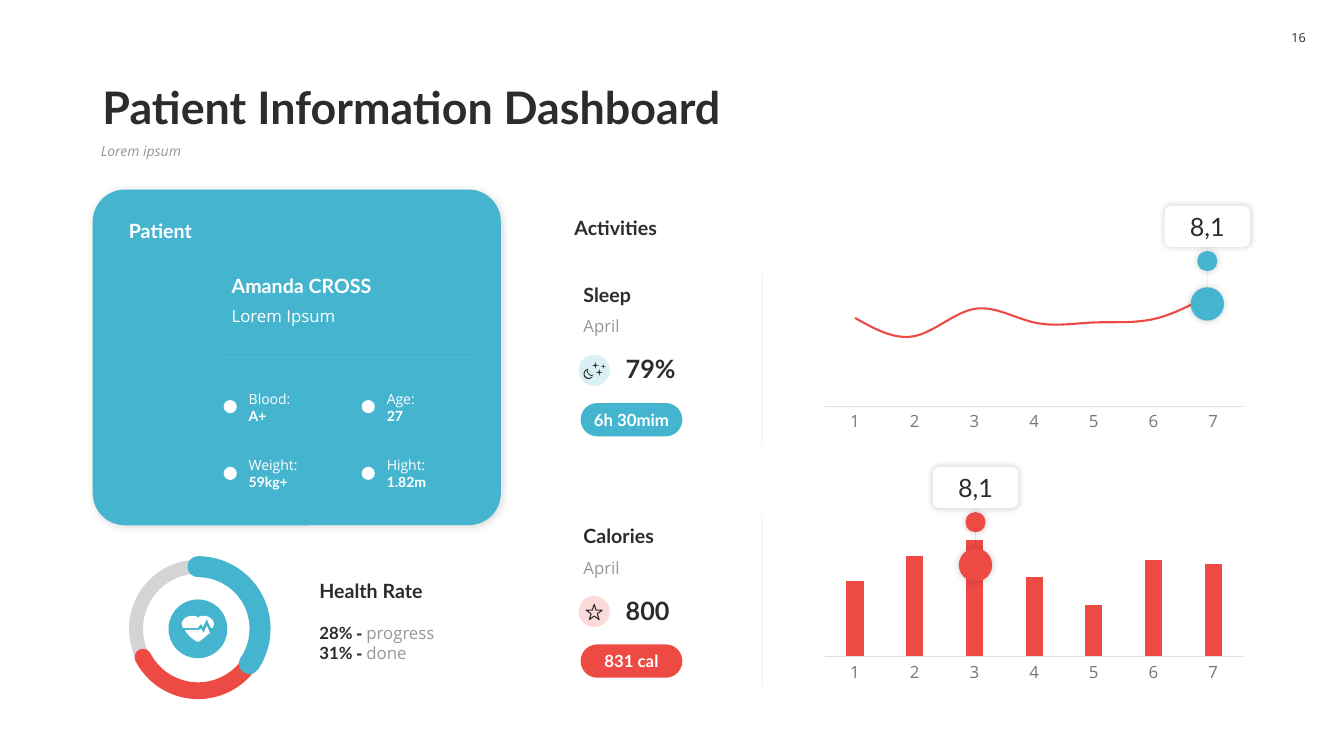
from dataclasses import dataclass

import pptx
import pptx.chart.data
import pptx.dml.color
import pptx.enum.chart
import pptx.enum.shapes
import pptx.enum.text
import pptx.oxml
import pptx.oxml.ns
import pptx.util

Pt = pptx.util.Pt
qn = pptx.oxml.ns.qn
RGBColor = pptx.dml.color.RGBColor
ShapeKind = pptx.enum.shapes.MSO_SHAPE
Anchor = pptx.enum.text.MSO_ANCHOR
Align = pptx.enum.text.PP_ALIGN
ChartKind = pptx.enum.chart.XL_CHART_TYPE

BLUE = RGBColor(0x45, 0xB5, 0xCF)
RED = RGBColor(0xED, 0x4A, 0x43)
DARK = RGBColor(0x2C, 0x2C, 0x2C)
GREY = RGBColor(0x96, 0x96, 0x96)
AXIS_TEXT = RGBColor(0x76, 0x76, 0x76)
AXIS_LINE = RGBColor(0xDF, 0xDF, 0xDF)
WHITE = RGBColor(0xFF, 0xFF, 0xFF)
HEADING_FONT, BODY_FONT = "Lato", "Open Sans"
GLYPH_UNIT = 0.72  # points per unit of a glyph outline


@dataclass
class Fact:
    column: int
    row: int
    label: str
    value: str


@dataclass
class Activity:
    top: float
    name: str
    value: str
    total: str
    colour: RGBColor


@dataclass
class Trend:
    kind: ChartKind
    top: float
    values: tuple
    minimum: float
    plot_top: float
    plot_height: float
    marker_centre: float
    marker_top: float
    colour: RGBColor


FACTS = [Fact(0, 0, "Blood:", "A+"), Fact(1, 0, "Age:", "27"),
         Fact(0, 1, "Weight:", "59kg+"), Fact(1, 1, "Hight:", "1.82m")]
ACTIVITIES = [Activity(198, "Sleep", "79%", "6h 30mim", BLUE),
              Activity(370.4, "Calories", "800", "831 cal", RED)]
TRENDS = [
    Trend(ChartKind.LINE, 198, (78, 62, 86, 74, 74, 77, 100), 0, 0.1, 0.71, 862.4, 146.9, BLUE),
    Trend(ChartKind.COLUMN_CLUSTERED, 376.6, (90, 96, 100, 91, 84, 95, 94), 71.5, 0.08, 0.73,
          696.8, 333.4, RED),
]
# Outlines: a pair is a straight step, six numbers are a Bézier step.
HEART = [
    [(25, 10), (28, 17), (25, 19, 22, 23, 16, 26), (8, 22, 5, 17, 3, 14), (17, 14), (19, 13),
     (22, 17), (23, 14)],
    [(10, 0), (12, 0, 15, 0, 16, 2), (18, 0, 20, 0, 22, 0), (27, 0, 32, 4, 32, 8),
     (32, 10, 31, 10, 31, 12), (29, 12), (26, 6), (25, 3), (21, 11), (19, 8), (16, 12), (1, 12),
     (1, 10, 0, 9, 0, 8), (0, 4, 5, 0, 10, 0)],
]
MOON = [
    [(4, 2), (4, 1, 4, 1, 5, 0), (4, 0), (1, 1, 0, 3, 0, 5), (0, 8, 2, 10, 5, 10),
     (7, 10, 9, 9, 9, 6), (10, 5), (9, 6, 9, 6, 8, 6), (6, 6, 4, 4, 4, 2)],
    [(5, 9), (3, 9, 1, 7, 1, 5), (1, 3, 2, 2, 3, 1), (3, 2), (3, 4, 6, 7, 8, 7), (9, 7),
     (8, 8, 7, 9, 5, 9)],
]
SPARKLES = [(429.1, 259.9, 3.6), (422.8, 258.5, 5), (425.6, 263.5, 5)]


def write(frame, text: str, *, size: float, colour: RGBColor = DARK, font: str = HEADING_FONT,
          bold: bool = False, italic: bool = False, align: Align = Align.LEFT) -> None:
    """Append a run to the last paragraph of the frame."""
    paragraph = frame.paragraphs[-1]
    paragraph.alignment = align
    run = paragraph.add_run()
    run.text = text
    run.font.size, run.font.name = Pt(size), font
    run.font.bold, run.font.italic = bold, italic
    run.font.color.rgb = colour


def add_text_box(slide, left: float, top: float, width: float, height: float,
                 anchor: Anchor = Anchor.TOP):
    frame = slide.shapes.add_textbox(Pt(left), Pt(top), Pt(width), Pt(height)).text_frame
    frame.word_wrap = True
    frame.vertical_anchor = anchor
    return frame


def add_heading(slide, text: str, left: float, top: float, width: float,
                colour: RGBColor = DARK) -> None:
    frame = add_text_box(slide, left, top, width, 24.5, Anchor.BOTTOM)
    write(frame, text, size=14, colour=colour, bold=True)


def set_opacity(shape, percent: int) -> None:
    for colour in shape._element.spPr.iter(qn("a:srgbClr")):
        pptx.oxml.parse_xml(f'<a:alpha {pptx.oxml.ns.nsdecls("a")} val="{percent * 1000}"/>')
        colour.append(colour.makeelement(qn("a:alpha"), {"val": str(percent * 1000)}))


def style(shape, fill: RGBColor | None, line: RGBColor | None = None, weight: float = 0) -> None:
    shape.shadow.inherit = False
    if fill is None:
        shape.fill.background()
    else:
        shape.fill.solid()
        shape.fill.fore_color.rgb = fill
    if line is None:
        shape.line.fill.background()
    else:
        shape.line.color.rgb = line
        shape.line.width = Pt(weight)


def add_figure(slide, kind: ShapeKind, left: float, top: float, width: float, height: float,
               fill: RGBColor | None, *, line: RGBColor | None = None, weight: float = 0,
               adjustments: tuple = (), opacity: int = 100):
    shape = slide.shapes.add_shape(kind, Pt(left), Pt(top), Pt(width), Pt(height))
    for index, adjustment in enumerate(adjustments):
        shape.adjustments[index] = adjustment
    style(shape, fill, line, weight)
    if opacity < 100:
        set_opacity(shape, opacity)
    shape.text_frame.vertical_anchor = Anchor.MIDDLE
    return shape


def add_shadow(shape, opacity: int = 20, blur: float = 5, distance: float = 0) -> None:
    shape._element.spPr.find(qn("a:effectLst")).append(pptx.oxml.parse_xml(
        f'<a:outerShdw {pptx.oxml.ns.nsdecls("a")} blurRad="{Pt(blur)}" dist="{Pt(distance)}" '
        f'dir="2700000" algn="tl" rotWithShape="0"><a:srgbClr val="000000">'
        f'<a:alpha val="{opacity * 1000}"/></a:srgbClr></a:outerShdw>'))


def add_rule(slide, x1: float, y1: float, x2: float, y2: float, colour: RGBColor) -> None:
    rule = slide.shapes.add_connector(pptx.enum.shapes.MSO_CONNECTOR.STRAIGHT,
                                      Pt(x1), Pt(y1), Pt(x2), Pt(y2))
    rule.line.color.rgb = colour
    rule.line.width = Pt(0.5)
    set_opacity(rule, 10)
    properties = rule._element.spPr
    properties.append(properties.makeelement(qn("a:effectLst"), {}))


def flatten(contour: list) -> list:
    """Turn a contour with Bézier steps into EMU points."""
    points = [contour[0]]
    for step in contour[1:]:
        x0, y0 = points[-1]
        if len(step) == 2:
            points.append(step)
            continue
        x1, y1, x2, y2, x3, y3 = step
        for t in (i / 8 for i in range(1, 9)):
            a, b, c, d = (1 - t) ** 3, 3 * t * (1 - t) ** 2, 3 * t * t * (1 - t), t ** 3
            points.append((a * x0 + b * x1 + c * x2 + d * x3, a * y0 + b * y1 + c * y2 + d * y3))
    return [(Pt(x * GLYPH_UNIT), Pt(y * GLYPH_UNIT)) for x, y in points]


def add_glyph(slide, contours: list, left: float, top: float, colour: RGBColor) -> None:
    first, *others = map(flatten, contours)
    builder = slide.shapes.build_freeform(*first[0], scale=1.0)
    builder.add_line_segments(first[1:], close=True)
    for points in others:
        builder.move_to(*points[0])
        builder.add_line_segments(points[1:], close=True)
    style(builder.convert_to_shape(Pt(left), Pt(top)), colour)


def add_fact(slide, fact: Fact) -> None:
    left, top = 159.8 + 98.6 * fact.column, 275 + 47.6 * fact.row
    add_figure(slide, ShapeKind.OVAL, left, top + 10.8, 9.4, 9.4, WHITE)
    frame = add_text_box(slide, left + 10.8, top, 68.4, 31.7, Anchor.MIDDLE)
    write(frame, fact.label, size=10, colour=WHITE, font=BODY_FONT)
    frame.add_paragraph()
    write(frame, fact.value, size=10, colour=WHITE, bold=True)


def add_activity(slide, activity: Activity) -> None:
    top = activity.top
    add_heading(slide, activity.name, 409.7, top, 119.5)
    write(add_text_box(slide, 409.7, top + 24.3, 119.5, 21.6), "April",
          size=12, colour=GREY, font=BODY_FONT)
    add_figure(slide, ShapeKind.OVAL, 413.3, top + 55.3, 22.3, 22.3, activity.colour, opacity=20)
    write(add_text_box(slide, 439.9, top + 51, 89.3, 28.8, Anchor.BOTTOM), activity.value,
          size=18, bold=True)
    pill = add_figure(slide, ShapeKind.ROUNDED_RECTANGLE, 414.7, top + 89.9, 72.7, 23.8,
                      activity.colour, adjustments=(0.5,))
    frame = pill.text_frame
    frame.margin_left = frame.margin_right = frame.margin_top = frame.margin_bottom = Pt(0)
    write(frame, activity.total, size=12, colour=WHITE, bold=True, align=Align.CENTER)
    add_rule(slide, 544.3, top + 120.2, 544.3, top - 2.2, DARK)


def add_trend_chart(slide, trend: Trend) -> None:
    data = pptx.chart.data.CategoryChartData()
    data.categories = [str(day) for day in range(1, 8)]
    data.add_series("Series 1", trend.values)
    chart = slide.shapes.add_chart(trend.kind, Pt(583.2), Pt(trend.top), Pt(311), Pt(113.8),
                                   data).chart
    chart.has_legend = chart.has_title = False
    chart.font.size, chart.font.name, chart.font.color.rgb = Pt(12), BODY_FONT, DARK
    plot = chart.plots[0]
    plot.vary_by_categories = False
    series = plot.series[0]
    if trend.kind == ChartKind.LINE:
        series.smooth = True
        series.marker.style = pptx.enum.chart.XL_MARKER_STYLE.NONE
        series.format.line.color.rgb, series.format.line.width = RED, Pt(1.5)
    else:
        plot.gap_width = 250
        series.format.fill.solid()
        series.format.fill.fore_color.rgb = RED
    value_axis, category_axis = chart.value_axis, chart.category_axis
    value_axis.minimum_scale, value_axis.maximum_scale = trend.minimum, 100
    value_axis.has_major_gridlines = value_axis.visible = False
    category_axis.major_tick_mark = pptx.enum.chart.XL_TICK_MARK.NONE
    category_axis.format.line.color.rgb, category_axis.format.line.width = AXIS_LINE, Pt(0.75)
    font = category_axis.tick_labels.font
    font.size, font.name, font.color.rgb = Pt(12), BODY_FONT, AXIS_TEXT
    area = chart._chartSpace.find(".//" + qn("c:plotArea"))
    for layout in area.findall(qn("c:layout")):
        area.remove(layout)
    sizes = {"x": 0.02, "y": trend.plot_top, "w": 0.96, "h": trend.plot_height}
    area.insert(0, pptx.oxml.parse_xml(
        f'<c:layout {pptx.oxml.ns.nsdecls("c")}><c:manualLayout><c:layoutTarget val="inner"/>'
        '<c:xMode val="edge"/><c:yMode val="edge"/>'
        + "".join(f'<c:{name} val="{size}"/>' for name, size in sizes.items())
        + "</c:manualLayout></c:layout>"))


def add_marker(slide, trend: Trend) -> None:
    centre, top = trend.marker_centre, trend.marker_top
    for offset, diameter in ((58.3, 23.8), (32.4, 14.4)):
        add_shadow(add_figure(slide, ShapeKind.OVAL, centre - diameter / 2, top + offset,
                              diameter, diameter, trend.colour))
    add_rule(slide, centre, top + 46.8, centre, top + 58.3, DARK)
    card = add_figure(slide, ShapeKind.ROUNDED_RECTANGLE, centre - 30.6, top, 61.2, 29.5, WHITE)
    add_shadow(card)
    write(card.text_frame, "8,1", size=18, align=Align.CENTER)


def fill_placeholders(slide) -> None:
    title, subtitle = slide.shapes.title, slide.placeholders[1]
    for shape, top, height in ((title, 41.8, 57.6), (subtitle, 99.4, 25.9)):
        shape.left, shape.top, shape.width, shape.height = Pt(66), Pt(top), Pt(828), Pt(height)
        paragraph = shape.text_frame.paragraphs[0]
        paragraph.line_spacing, paragraph.space_before = 0.9, Pt(0)
    subtitle.left = Pt(64.8)
    title.text_frame.vertical_anchor = Anchor.BOTTOM
    write(title.text_frame, "Patient Information Dashboard", size=32, bold=True)
    properties = subtitle.text_frame.paragraphs[0]._p.get_or_add_pPr()
    properties.set("marL", "0")
    properties.set("indent", "0")
    properties.append(properties.makeelement(qn("a:buNone"), {}))
    write(subtitle.text_frame, "Lorem ipsum", size=10, colour=GREY, font=BODY_FONT, italic=True)


def add_patient_card(slide) -> None:
    add_shadow(add_figure(slide, ShapeKind.ROUNDED_RECTANGLE, 66.2, 135.4, 291.6, 239.8, BLUE,
                          adjustments=(0.096,)), 15, 6, 1)
    add_heading(slide, "Patient", 85, 151.9, 260, WHITE)
    add_heading(slide, "Amanda CROSS", 158.4, 191.5, 186.5, WHITE)
    write(add_text_box(slide, 158.4, 214.6, 186.5, 21.6), "Lorem Ipsum",
          size=12, colour=WHITE, font=BODY_FONT)
    add_rule(slide, 158.4, 255.6, 337.7, 255.6, WHITE)
    for fact in FACTS:
        add_fact(slide, fact)


def add_health_rate(slide) -> None:
    ring = (97.2, 404.8, 88.6, 88.6)
    add_figure(slide, ShapeKind.OVAL, *ring, None, line=DARK, weight=10, opacity=20)
    add_figure(slide, ShapeKind.OVAL, 120.4, 428.2, 42, 42, BLUE)
    for colour, weight, angles in ((RED, 12, (20.17, 91.58)), (BLUE, 15, (162, 20.54))):
        arc = add_figure(slide, ShapeKind.ARC, *ring, None, line=colour, weight=weight,
                         adjustments=angles)
        arc._element.spPr.find(qn("a:ln")).set("cap", "rnd")
    add_glyph(slide, HEART, 129.8, 439.9, WHITE)
    add_heading(slide, "Health Rate", 221, 409.7, 123.8)
    frame = add_text_box(slide, 221, 441.4, 123.8, 36)
    write(frame, "28% ", size=12, bold=True)
    write(frame, "- ", size=12, font=BODY_FONT, bold=True)
    write(frame, "progress", size=12, font=BODY_FONT, colour=GREY)
    frame.add_paragraph()
    write(frame, "31% ", size=12, bold=True)
    write(frame, "- ", size=12, font=BODY_FONT, bold=True)
    write(frame, "done", size=12, font=BODY_FONT, colour=GREY)


def main() -> None:
    presentation = pptx.Presentation()
    presentation.slide_width, presentation.slide_height = Pt(960), Pt(540)
    slide = presentation.slides.add_slide(presentation.slide_layouts[1])
    fill_placeholders(slide)
    add_patient_card(slide)
    number = add_figure(slide, ShapeKind.ROUNDED_RECTANGLE, 913.7, 13, 28, 28, WHITE).text_frame
    number.margin_left = number.margin_right = Pt(0)
    number.word_wrap = False
    write(number, "16", size=9, font=BODY_FONT, align=Align.CENTER)
    add_health_rate(slide)
    add_heading(slide, "Activities", 403.2, 149.8, 274.3)
    for activity in ACTIVITIES:
        add_activity(slide, activity)
    for trend in TRENDS:
        add_trend_chart(slide, trend)
        add_marker(slide, trend)
    add_glyph(slide, MOON, 416.9, 263.5, DARK)
    for left, top, size in SPARKLES:
        add_figure(slide, ShapeKind.STAR_4_POINT, left, top, size, size, DARK)
    add_figure(slide, ShapeKind.STAR_5_POINT, 418.7, 431.7, 11.5, 11, None, line=DARK, weight=0.75)
    presentation.save("out.pptx")


if __name__ == "__main__":
    main()
